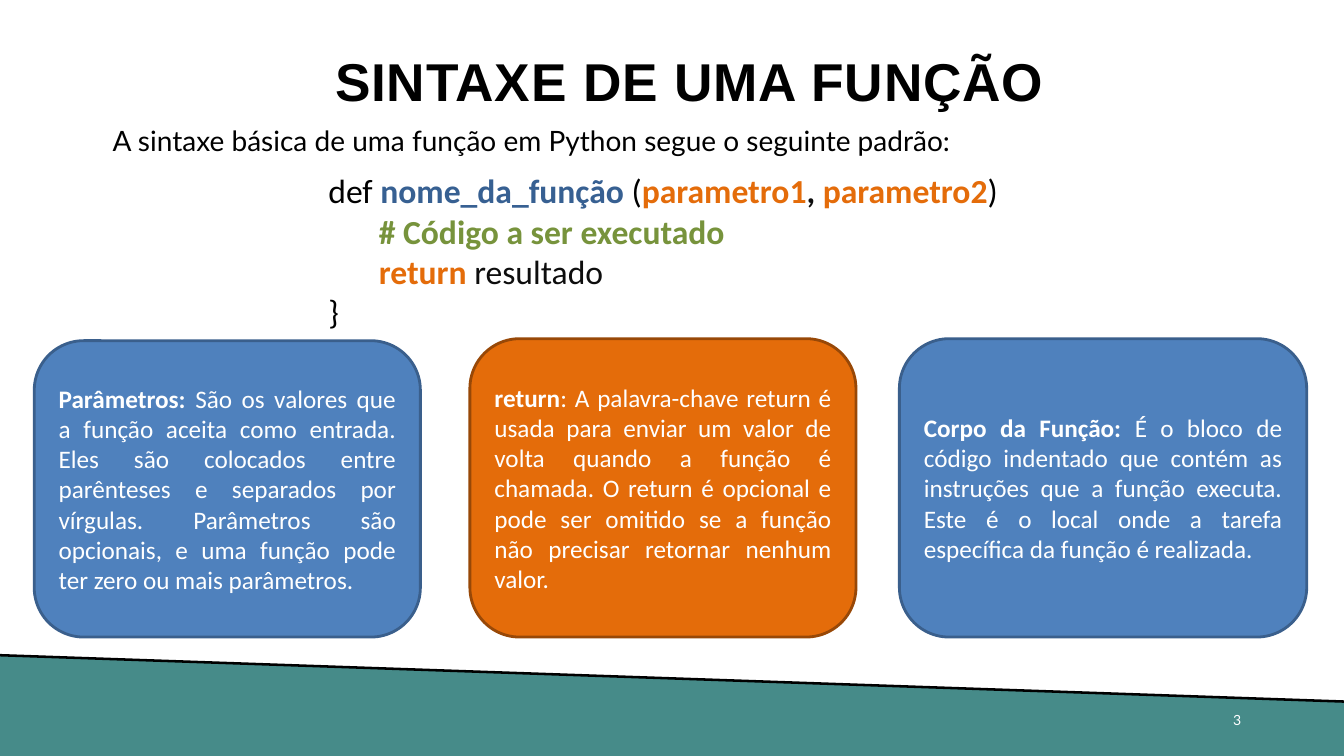
from pptx import Presentation
from pptx.dml.color import RGBColor
from pptx.enum.shapes import MSO_SHAPE
from pptx.enum.text import MSO_ANCHOR, MSO_AUTO_SIZE, PP_ALIGN
from pptx.util import Emu, Inches, Pt

COLORS = {
    "black": "000000", "ink": "0D0D0D", "white": "FFFFFF", "teal": "468B89",
    "blue": "4F81BD", "blue_edge": "3A5F8C", "navy": "376092",
    "orange": "E46C0A", "orange_edge": "984807", "green": "77933C",
}

CODE = [
    [("def ", "black", False), ("nome_da_função ", "navy", True), ("(", "black", False),
     ("parametro1", "orange", True), (", ", "ink", True),
     ("parametro2", "orange", True), (")", "black", False)],
    [("\t", "black", False), ("# Código a ser executado", "green", True)],
    [("\t", "navy", True), ("return ", "orange", True), ("resultado", "ink", False)],
    [("}", "black", False)],
]

CARDS = [
    ((2.55, 45.07, 28.73, 39.2), "blue", "Parâmetros:",
     " São os valores que a função aceita como entrada. Eles são colocados entre "
     "parênteses e separados por vírgulas. Parâmetros são opcionais, e uma função "
     "pode ter zero ou mais parâmetros."),
    ((34.96, 44.8, 28.73, 39.47), "orange", "return",
     ": A palavra-chave return é usada para enviar um valor de volta quando a função "
     "é chamada. O return é opcional e pode ser omitido se a função não precisar "
     "retornar nenhum valor."),
    ((66.92, 44.8, 30.31, 39.47), "blue", "Corpo da Função:",
     " É o bloco de código indentado que contém as instruções que a função executa. "
     "Este é o local onde a tarefa específica da função é realizada."),
]


class SlideBuilder:
    """Draws styled elements on one slide, with boxes given in percent of its size."""

    def __init__(self, prs):
        self.prs = prs
        self.slide = prs.slides.add_slide(prs.slide_layouts[5])

    def point(self, x, y):
        return Emu(round(self.prs.slide_width * x / 100)), Emu(round(self.prs.slide_height * y / 100))

    def box(self, left, top, width, height):
        return self.point(left, top) + self.point(width, height)

    def color(self, name):
        return RGBColor.from_string(COLORS[name])

    def paint(self, sp, fill=None, line=None, width=2):
        sp.shadow.inherit = False
        if fill:
            sp.fill.solid()
            sp.fill.fore_color.rgb = self.color(fill)
        else:
            sp.fill.background()
        if line:
            sp.line.color.rgb = self.color(line)
            sp.line.width = Pt(width)
        else:
            sp.line.fill.background()

    def add_runs(self, tf, lines, size, font, align=PP_ALIGN.LEFT, spacing=0):
        tf.word_wrap = True
        for i, runs in enumerate(lines):
            p = tf.add_paragraph() if i else tf.paragraphs[0]
            p.alignment = align
            for text, color, bold in runs:
                r = p.add_run()
                r.text = text
                r.font.size = Pt(size)
                r.font.name = font
                r.font.bold = bold
                r.font.color.rgb = self.color(color)
                if spacing:
                    r._r.get_or_add_rPr().set("spc", str(spacing))

    def indent(self, p, left, first, before):
        p.space_before = Pt(before)
        pPr = p._p.get_or_add_pPr()
        pPr.set("marL", str(Inches(left)))
        pPr.set("indent", str(Inches(first)))

    def tighten(self, tf, top):
        tf.margin_left = tf.margin_right = tf.margin_bottom = 0
        tf.margin_top = Inches(top)

    def title(self, box, text):
        sp = self.slide.shapes.title
        sp.left, sp.top, sp.width, sp.height = self.box(*box)
        tf = sp.text_frame
        self.tighten(tf, 0.09)
        tf.vertical_anchor = MSO_ANCHOR.TOP
        tf.auto_size = MSO_AUTO_SIZE.SHAPE_TO_FIT_TEXT
        self.add_runs(tf, [[(text, "black", True)]], 38, "Arial", PP_ALIGN.CENTER, 60)
        p = tf.paragraphs[0]
        p.line_spacing = Pt(41)
        self.indent(p, 4.58, -4.23, 6.2)

    def text(self, box, lines, size, font, align=PP_ALIGN.LEFT, spacing=0):
        tf = self.slide.shapes.add_textbox(*self.box(*box)).text_frame
        tf.auto_size = MSO_AUTO_SIZE.SHAPE_TO_FIT_TEXT
        self.add_runs(tf, lines, size, font, align, spacing)
        return tf

    def number(self, box, text):
        tf = self.text(box, [[(text, "white", False)]], 10, "Lato", spacing=20)
        self.tighten(tf, 0.01)
        self.indent(tf.paragraphs[0], 0.04, 0, 0.6)

    def outline(self, points, close=False, **style):
        start, *rest = [self.point(*pt) for pt in points]
        fb = self.slide.shapes.build_freeform(*start)
        fb.add_line_segments(rest, close=close)
        self.paint(fb.convert_to_shape(), **style)

    def card(self, box, color, term, text):
        sp = self.slide.shapes.add_shape(MSO_SHAPE.ROUNDED_RECTANGLE, *self.box(*box))
        self.paint(sp, color, color + "_edge")
        tf = sp.text_frame
        tf.vertical_anchor = MSO_ANCHOR.MIDDLE
        self.add_runs(tf, [[(term, "white", True), (text, "white", False)]], 18, "Calibri", PP_ALIGN.JUSTIFY)


def main():
    prs = Presentation()
    prs.slide_width, prs.slide_height = Inches(13.33), Inches(7.5)
    s = SlideBuilder(prs)
    slope = [(0, 86.67), (100, 92.8)]
    s.outline(slope + [(100, 100), (0, 100)], close=True, fill="teal")
    s.outline(slope, line="black", width=1.8)
    s.title((8.78, 6, 82.45, 8.8), "SINTAXE DE UMA FUNÇÃO")
    s.number((91.45, 94, 1.2, 2.67), "3")
    intro = "A sintaxe básica de uma função em Python segue o seguinte padrão:"
    s.text((7.65, 15.73, 85, 5.87), [[(intro, "black", False)]], 20, "Lato", PP_ALIGN.JUSTIFY)
    s.text((23.7, 21.87, 52.6, 22.93), CODE, 24, "Calibri")
    for card in CARDS:
        s.card(*card)
    prs.save("out.pptx")


if __name__ == "__main__":
    main()
